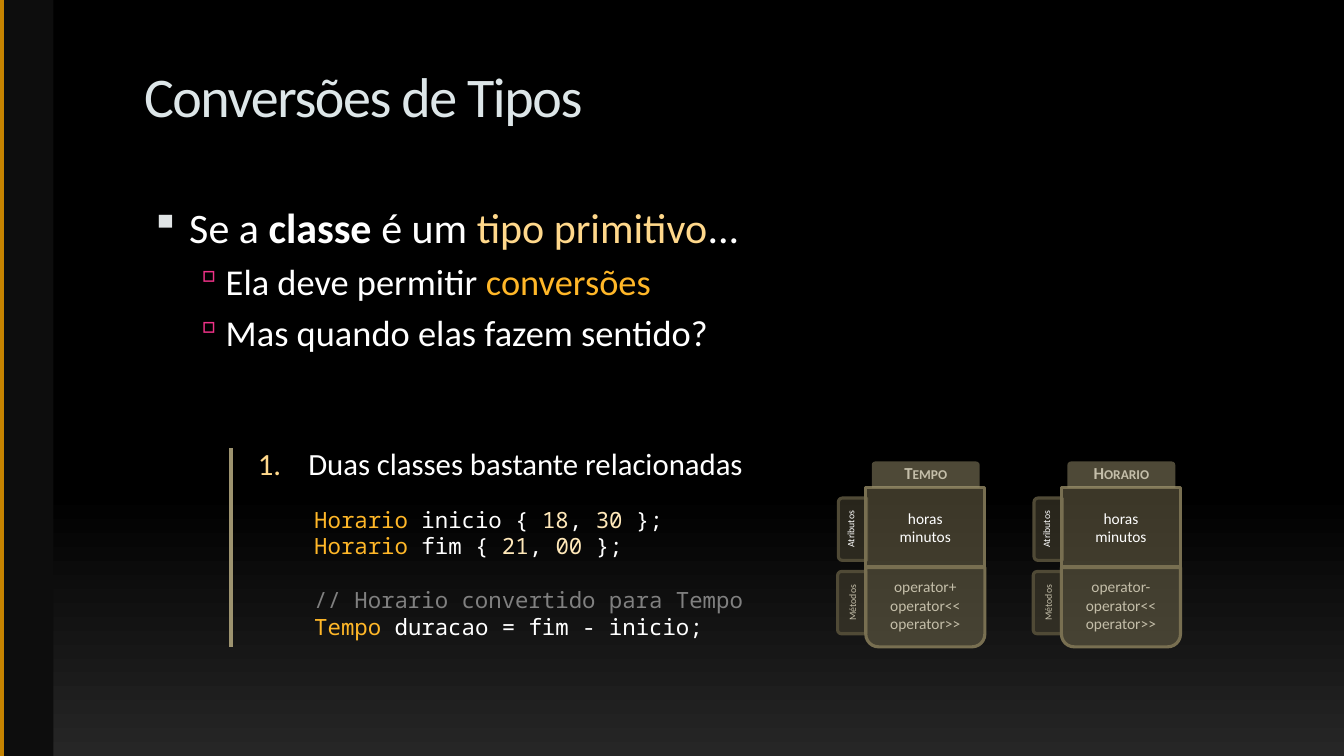
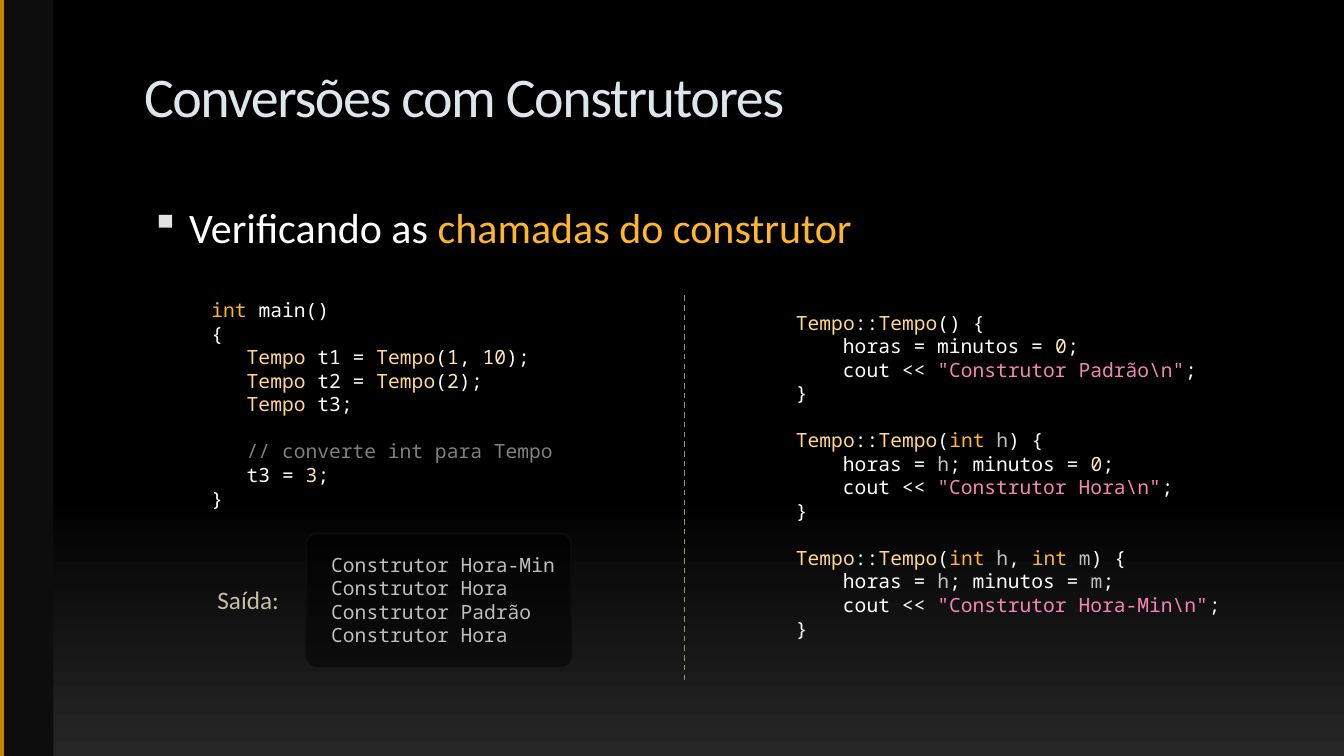
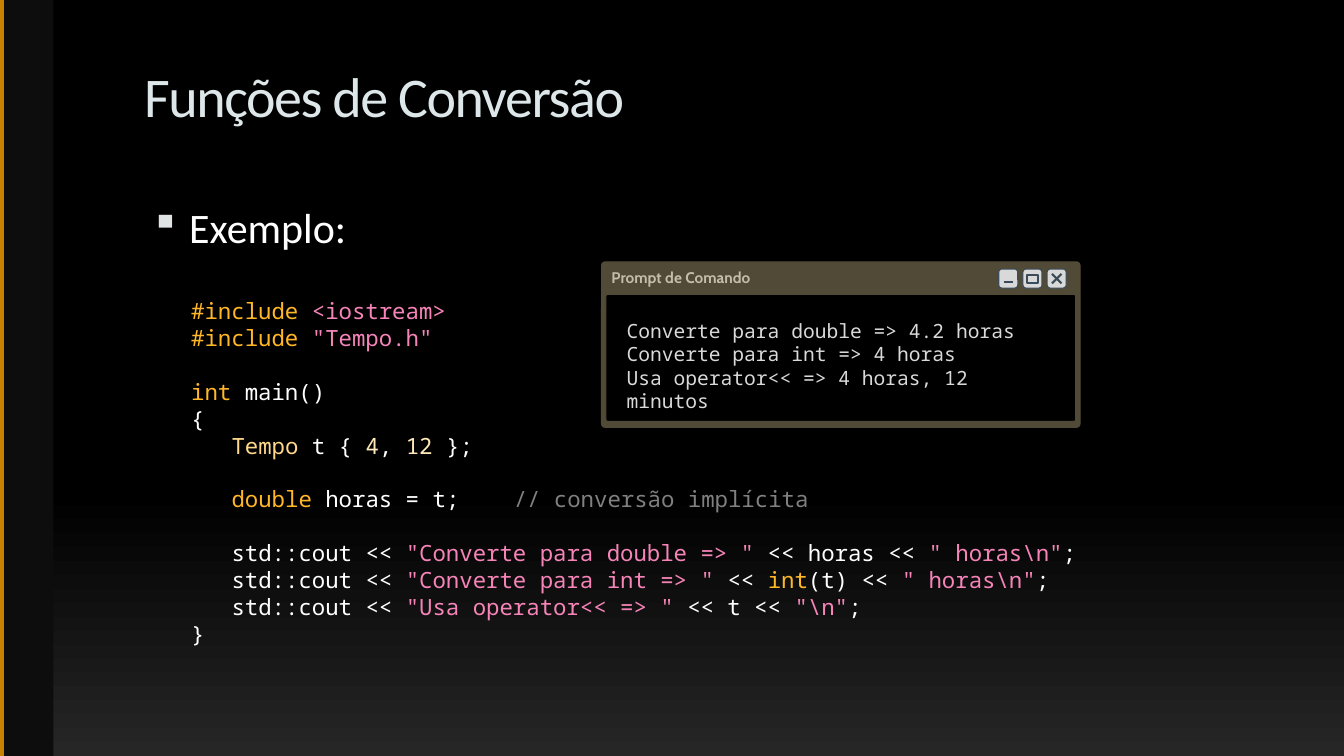
import copy

import pptx
import pptx.dml.color
import pptx.enum.dml
import pptx.enum.shapes
import pptx.enum.text
import pptx.oxml
import pptx.oxml.ns
import pptx.util
from pptx.dml.color import RGBColor
from pptx.util import Cm, Pt

SHAPE = pptx.enum.shapes.MSO_SHAPE
ALIGN = pptx.enum.text.PP_ALIGN
ANCHOR = pptx.enum.text.MSO_ANCHOR
qn = pptx.oxml.ns.qn

# Palette and fonts
BLACK = RGBColor(0x00, 0x00, 0x00)
NIGHT = RGBColor(0x0D, 0x0D, 0x0D)
CHARCOAL = RGBColor(0x26, 0x26, 0x26)
WHITE = RGBColor(0xFF, 0xFF, 0xFF)
SILVER = RGBColor(0xD9, 0xD9, 0xD9)
GREY = RGBColor(0xBF, 0xBF, 0xBF)
DIM = RGBColor(0x80, 0x80, 0x80)
ICE = RGBColor(0xDD, 0xE6, 0xE8)
SLATE = RGBColor(0x3A, 0x4C, 0x5B)
AMBER = RGBColor(0xC5, 0x83, 0x00)
GOLD = RGBColor(0xFF, 0xB7, 0x28)
SAND = RGBColor(0xFF, 0xD8, 0x8B)
CREAM = RGBColor(0xFF, 0xE8, 0xB9)
PINK = RGBColor(0xF6, 0x84, 0xB8)
MAGENTA = RGBColor(0xF0, 0x32, 0x88)
PEARL = RGBColor(0xE0, 0xE4, 0xE5)
STONE = RGBColor(0xC4, 0xBE, 0xA9)
KHAKI = RGBColor(0x9D, 0x93, 0x6F)
OLIVE = RGBColor(0x78, 0x6F, 0x51)
UMBER = RGBColor(0x50, 0x4A, 0x36)

SANS, MONO, CAPTION = "Calibri", "Noto Sans Mono", "Cabin"
LINE_RATIO = 1.2   # code line height / text size
CHAR_RATIO = 0.6   # code character width / text size

# Marked text: "[key|words]" takes the colour of its key; b is bold
MARKS = {"k": GOLD, "t": SAND, "n": CREAM, "s": PINK, "c": DIM, "p": GREY, "b": WHITE}

# Bullet levels: text size, left margin, hanging indent, space before, bullet
LEVELS = {
    "main": (30, 1.14, -0.97, 7, ("▪", PEARL, 95)),
    "sub": (26, 2.06, -0.79, 5.2, ("▫", MAGENTA, 90)),
    "number": (22, 4.14, -1.27, 65.3, (None, SAND, 100)),
}

# Content
TYPES_TITLE = "Conversões de Tipos"
TYPES_BODY = [
    ("main", "Se a [b|classe] é um [t|tipo primitivo]..."),
    ("sub", "Ela deve permitir [k|conversões]"),
    ("sub", "Mas quando elas fazem sentido?"),
    ("number", "Duas classes bastante relacionadas"),
]
TYPES_CODE = """\
[k|Horario] inicio { [n|18], [n|30] };
[k|Horario] fim { [n|21], [n|00] };

[c|// Horario convertido para Tempo]
[k|Tempo] duracao = fim - inicio;"""
FIELDS = ["horas", "minutos"]
CLASSES = [
    ("Tempo", ["operator+", "operator<<", "operator>>"]),
    ("Horario", ["operator-", "operator<<", "operator>>"]),
]

BUILDERS_TITLE = "Conversões com Construtores"
BUILDERS_BODY = [("main", "Verificando as [k|chamadas do construtor]")]
MAIN_CODE = """\
[k|int] main()
{
   [t|Tempo] t1 = [t|Tempo]([n|1], [n|10]);
   [t|Tempo] t2 = [t|Tempo]([n|2]);
   [t|Tempo] t3;

   [c|// converte int para Tempo]
   t3 = [n|3];
}"""
BUILDERS_CODE = """\
[t|Tempo]::[t|Tempo]() {
    horas = minutos = [n|0];
    cout << [s|"Construtor Padrão\\n"];
}

[t|Tempo]::[t|Tempo]([k|int] [p|h]) {
    horas = [p|h]; minutos = [n|0];
    cout << [s|"Construtor Hora\\n"];
}

[t|Tempo]::[t|Tempo]([k|int] [p|h], [k|int] [p|m]) {
    horas = [p|h]; minutos = [p|m];
    cout << [s|"Construtor Hora-Min\\n"];
}"""
OUTPUT_LABEL = "Saída:"
OUTPUT = """\
 Construtor Hora-Min
 Construtor Hora
 Construtor Padrão
 Construtor Hora"""

FUNCTIONS_TITLE = "Funções de Conversão"
FUNCTIONS_BODY = [("main", "Exemplo:")]
FUNCTIONS_CODE = """\
[k|#include] [s|<iostream>]
[k|#include] [s|"Tempo.h"]

[k|int] main()
{
   [t|Tempo] t { [n|4], [n|12] };

   [k|double] horas = t;

   std::cout << [s|"Converte para double => "] << horas << [s|" horas\\n"];
   std::cout << [s|"Converte para int => "] << [k|int](t) << [s|" horas\\n"];
   std::cout << [s|"Usa operator<< => "] << t << [s|"\\n"];
}"""
SIDE_COMMENT = "[c|// conversão implícita]"
COMMENT_ROW, COMMENT_COLUMN = 7, 24
CONSOLE_TITLE = "Prompt de Comando"
CONSOLE = """\
Converte para double => 4.2 horas
Converte para int => 4 horas
Usa operator<< => 4 horas, 12 minutos"""


# Text helpers
def style(para, size, color, font=SANS, bold=None):
    para.font.size, para.font.name, para.font.bold = Pt(size), font, bold
    para.font.color.rgb = color


def add_spans(para, text):
    """Turn marked text into runs."""
    for chunk in text.replace("]", "[").split("["):
        if not chunk:
            continue
        key, bar, words = chunk.partition("|")
        span = para.add_run()
        span.text = words if bar else chunk
        if bar:
            span.font.color.rgb = MARKS[key]
            if key == "b":
                span.font.bold = True


def paragraphs(frame, count):
    return [frame.paragraphs[0]] + [frame.add_paragraph() for _ in range(count - 1)]


def write_lines(frame, lines, size, color, align=None, font=SANS, bold=None):
    for para, line in zip(paragraphs(frame, len(lines)), lines):
        style(para, size, color, font, bold)
        para.alignment = align
        add_spans(para, line)


def write_code(frame, code, size, color=WHITE):
    """Blank lines become space before, leading blanks a left margin."""
    lines = code.splitlines()
    rows = [(i > 0 and not lines[i - 1], line) for i, line in enumerate(lines) if line]
    for para, (gap, line) in zip(paragraphs(frame, len(rows)), rows):
        style(para, size, color, MONO)
        para.alignment = ALIGN.LEFT
        para.line_spacing = Pt(size * LINE_RATIO)
        para.space_before = Pt(size * LINE_RATIO if gap else 0)
        words = line.lstrip()
        indent = Pt(size * CHAR_RATIO * (len(line) - len(words)))
        para._p.get_or_add_pPr().set("marL", str(indent))
        add_spans(para, words)


def set_bullet(para, margin, indent, bullet):
    mark, color, percent = bullet
    props = para._p.get_or_add_pPr()
    props.set("marL", str(Cm(margin)))
    props.set("indent", str(Cm(indent)))
    tint = props.makeelement(qn("a:buClr"), {})
    tint.append(tint.makeelement(qn("a:srgbClr"), {"val": str(color)}))
    scale = props.makeelement(qn("a:buSzPct"), {"val": str(percent * 1000)})
    if mark:
        sign = props.makeelement(qn("a:buChar"), {"char": mark})
    else:
        sign = props.makeelement(qn("a:buAutoNum"), {"type": "arabicPeriod"})
    props.extend([tint, scale, sign])


# Shape helpers
def add_box(page, left, top, width, height, wrap=True):
    box = page.shapes.add_textbox(Cm(left), Cm(top), Cm(width), Cm(height))
    box.text_frame.word_wrap = wrap
    return box.text_frame


def add_panel(page, kind, place, fill, line=None, weight=0.75, adjust=(), alpha=None):
    panel = page.shapes.add_shape(kind, *[Cm(value) for value in place])
    panel.shadow.inherit = False
    panel.fill.solid()
    panel.fill.fore_color.rgb = fill
    if alpha:
        tint = panel._element.spPr.find(qn("a:solidFill"))[0]
        tint.append(tint.makeelement(qn("a:alpha"), {"val": str(alpha * 1000)}))
    if line is None:
        panel.line.fill.background()
    else:
        panel.line.color.rgb, panel.line.width = line, Pt(weight)
    for index, value in enumerate(adjust):
        panel.adjustments[index] = value
    panel.text_frame.vertical_anchor = ANCHOR.MIDDLE
    return panel


def set_margins(frame, side=0, bottom=0):
    frame.margin_left = frame.margin_right = Cm(side)
    frame.margin_top, frame.margin_bottom = 0, Cm(bottom)


def add_rule(page, x1, y1, x2, y2, color, weight):
    rule = page.shapes.add_connector(
        pptx.enum.shapes.MSO_CONNECTOR.STRAIGHT, Cm(x1), Cm(y1), Cm(x2), Cm(y2))
    rule.line.color.rgb, rule.line.width = color, Pt(weight)
    props = rule._element.spPr
    props.append(props.makeelement(qn("a:effectLst"), {}))
    return rule


# Shared look
def set_background(master):
    fill = master.background.fill
    fill.gradient()
    fill.gradient_angle = 270
    for stop, color, position in zip(fill.gradient_stops, (BLACK, CHARCOAL), (0.65, 1)):
        stop.color.rgb, stop.position = color, position
    stops = master.element.xpath(".//p:bg//a:gsLst")[0]
    first = copy.deepcopy(stops[0])
    first.set("pos", "0")
    stops.insert(0, first)


def add_page(deck, title, body):
    page = deck.slides.add_slide(deck.slide_layouts[6])
    add_panel(page, SHAPE.RECTANGLE, (0, 0, 1.35, 19.05), NIGHT)
    add_rule(page, 0.05, 0, 0.05, 19.05, AMBER, 3)

    heading = add_box(page, 3.38, 1.42, 24.16, 2.54)
    write_lines(heading, [title], 40, ICE)
    heading.paragraphs[0].runs[0]._r.get_or_add_rPr().set("spc", "-100")

    frame = add_box(page, 3.38, 4.95, 28.78, 12.7)
    for para, (level, text) in zip(paragraphs(frame, len(body)), body):
        size, margin, indent, before, bullet = LEVELS[level]
        set_bullet(para, margin, indent, bullet)
        para.space_before = Pt(before)
        style(para, size, WHITE)
        add_spans(para, text)
    return page


# Class diagram: name on top, two sections, each with a turned side tab
def add_class_card(page, left, name, methods):
    kind = SHAPE.ROUND_2_SAME_RECTANGLE
    sections = [
        ("Atributos", FIELDS, 12.29, WHITE, (0, 0), (-1.12, 0.69), (0.25, 0.13)),
        ("Métodos", methods, 14.3, STONE, (0, 0.16), (-1.14, 0.53), (0, 0)),
    ]
    for label, lines, top, color, corners, shift, margins in sections:
        place = (left + shift[0], top + shift[1], 1.57, 0.71)
        tab = add_panel(page, kind, place, UMBER, UMBER, 2.25, (0.136, 0), 50)
        tab.rotation = 270
        set_margins(tab.text_frame, *margins)
        write_lines(tab.text_frame, [label], 7, color, ALIGN.CENTER)
    for label, lines, top, color, corners, shift, margins in sections:
        section = add_panel(page, kind, (left, top, 3, 2), OLIVE, OLIVE, 2.25, corners, 50)
        set_margins(section.text_frame)
        write_lines(section.text_frame, lines, 11, color, ALIGN.CENTER)
    head = add_panel(page, kind, (left + 0.15, 11.63, 2.72, 0.66), KHAKI,
                     adjust=(0.136, 0), alpha=50)
    set_margins(head.text_frame)
    head.text_frame.vertical_anchor = ANCHOR.TOP
    write_lines(head.text_frame, [name], 12, STONE, ALIGN.CENTER, bold=True)
    head.text_frame.paragraphs[0].runs[0]._r.get_or_add_rPr().set("cap", "small")


# Command window with minimise, maximise and close buttons
def add_console(page):
    add_panel(page, SHAPE.ROUNDED_RECTANGLE, (15.16, 6.6, 12.06, 4.17), UMBER, UMBER,
              adjust=[0.022])
    add_panel(page, SHAPE.ROUNDED_RECTANGLE, (15.27, 7.42, 11.84, 3.2), BLACK, UMBER,
              adjust=[0.015])
    minimise, maximise, close = [25.17 + 0.61 * i for i in range(3)]
    top = 6.78
    for left in (minimise, maximise, close):
        add_panel(page, SHAPE.ROUNDED_RECTANGLE, (left, top, 0.48, 0.48), SILVER, SLATE)
    add_rule(page, minimise + 0.12, top + 0.33, minimise + 0.37, top + 0.33, SLATE, 1.5)
    add_panel(page, SHAPE.RECTANGLE, (maximise + 0.1, top + 0.15, 0.28, 0.2),
              SILVER, SLATE, 1.5)
    for start, end in ((0.36, 0.12), (0.12, 0.36)):
        add_rule(page, close + 0.12, top + start, close + 0.36, top + end, SLATE, 1.5)
    write_lines(add_box(page, 15.16, 6.63, 4.34, 0.74, wrap=False), [CONSOLE_TITLE],
                11, STONE, font=CAPTION, bold=True)
    write_code(add_box(page, 15.54, 7.9, 10.82, 2.06), CONSOLE, 14, SILVER)


# Slides
def build_types(deck):
    page = add_page(deck, TYPES_TITLE, TYPES_BODY)
    write_code(add_box(page, 7.67, 12.62, 21.67, 3.68), TYPES_CODE, 16)
    for index, (name, methods) in enumerate(CLASSES):
        add_class_card(page, 21.82 + 4.93 * index, name, methods)
    add_rule(page, 5.82, 11.3, 5.82, 16.31, KHAKI, 2.25)


def build_builders(deck):
    page = add_page(deck, BUILDERS_TITLE, BUILDERS_BODY)
    write_code(add_box(page, 19.81, 7.7, 12.67, 8.64), BUILDERS_CODE, 14)
    divider = add_rule(page, 17.25, 17.14, 17.25, 7.39, KHAKI, 1)
    divider.line.dash_style = pptx.enum.dml.MSO_LINE.DASH
    write_code(add_box(page, 5.08, 7.39, 10.11, 5.64), MAIN_CODE, 14)
    output = add_panel(page, SHAPE.ROUNDED_RECTANGLE, (7.72, 13.44, 6.68, 3.35),
                       BLACK, NIGHT, 1.25, [0.084], 50)
    write_code(output.text_frame, OUTPUT, 14, GREY)
    write_lines(add_box(page, 5.23, 14.6, 7.57, 1.02), [OUTPUT_LABEL], 18, STONE)


def build_functions(deck):
    page = add_page(deck, FUNCTIONS_TITLE, FUNCTIONS_BODY)
    left, top, size = 4.57, 7.37, 16
    write_code(add_box(page, left, top, 23.75, 9.14), FUNCTIONS_CODE, size)
    comment_left = left + Pt(size * CHAR_RATIO * COMMENT_COLUMN).cm
    comment_top = top + Pt(size * LINE_RATIO * COMMENT_ROW).cm
    write_code(add_box(page, comment_left, comment_top, 8.5, 0.93), SIDE_COMMENT, size)
    add_console(page)


def main():
    deck = pptx.Presentation()
    deck.slide_width, deck.slide_height = Cm(33.87), Cm(19.05)
    set_background(deck.slide_master)
    build_types(deck)
    build_builders(deck)
    build_functions(deck)
    deck.save("out.pptx")


if __name__ == "__main__":
    main()
